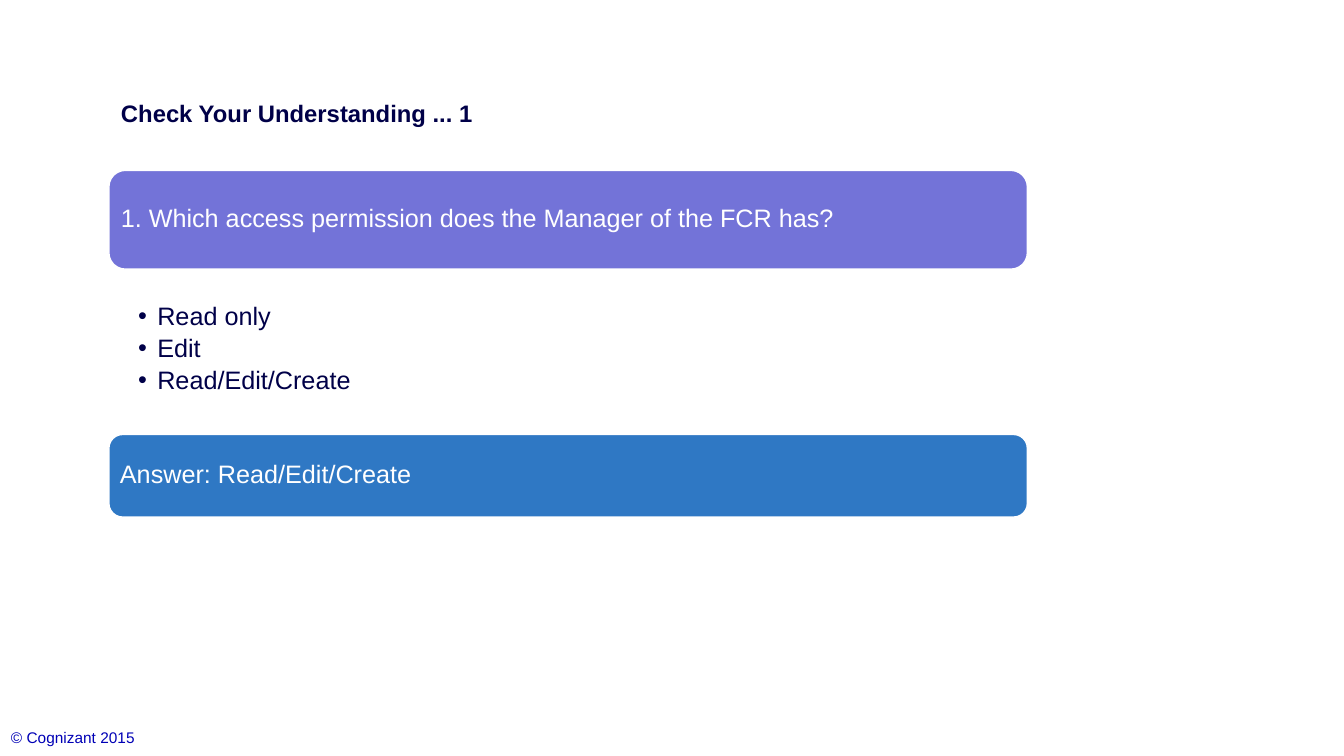
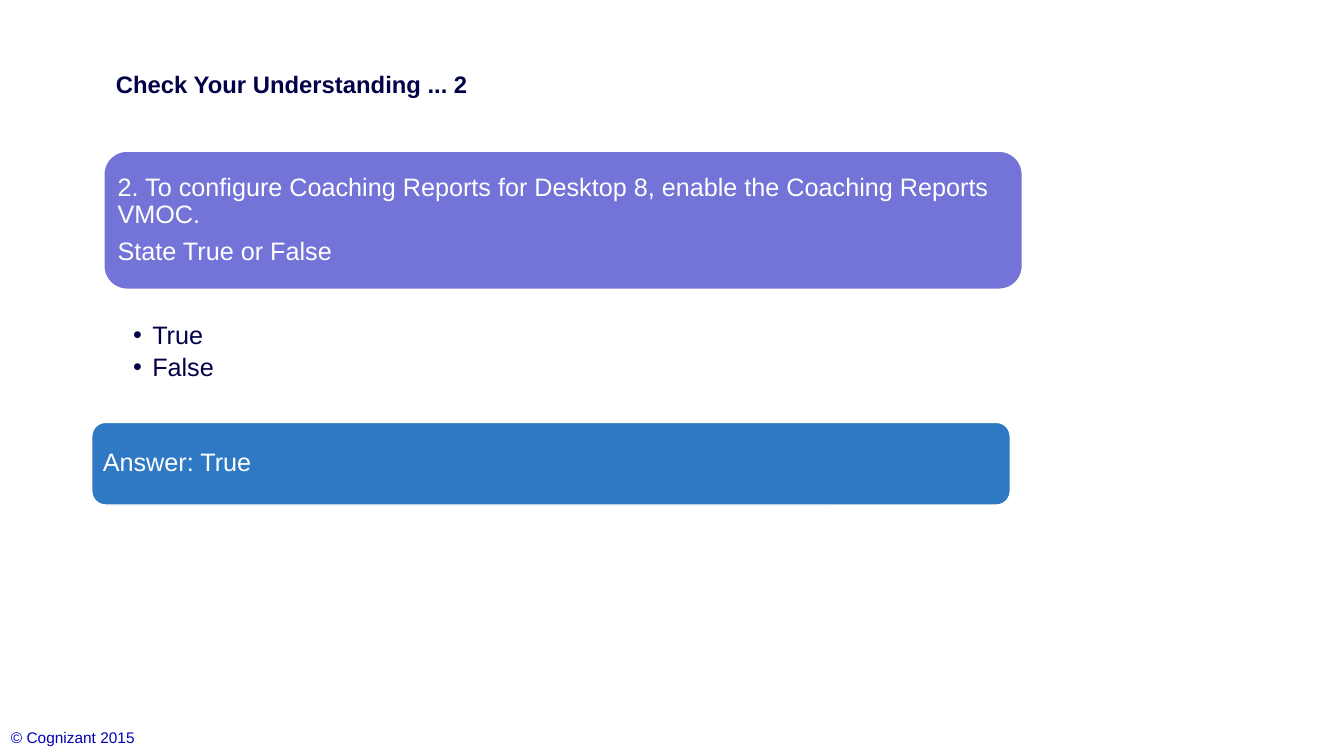
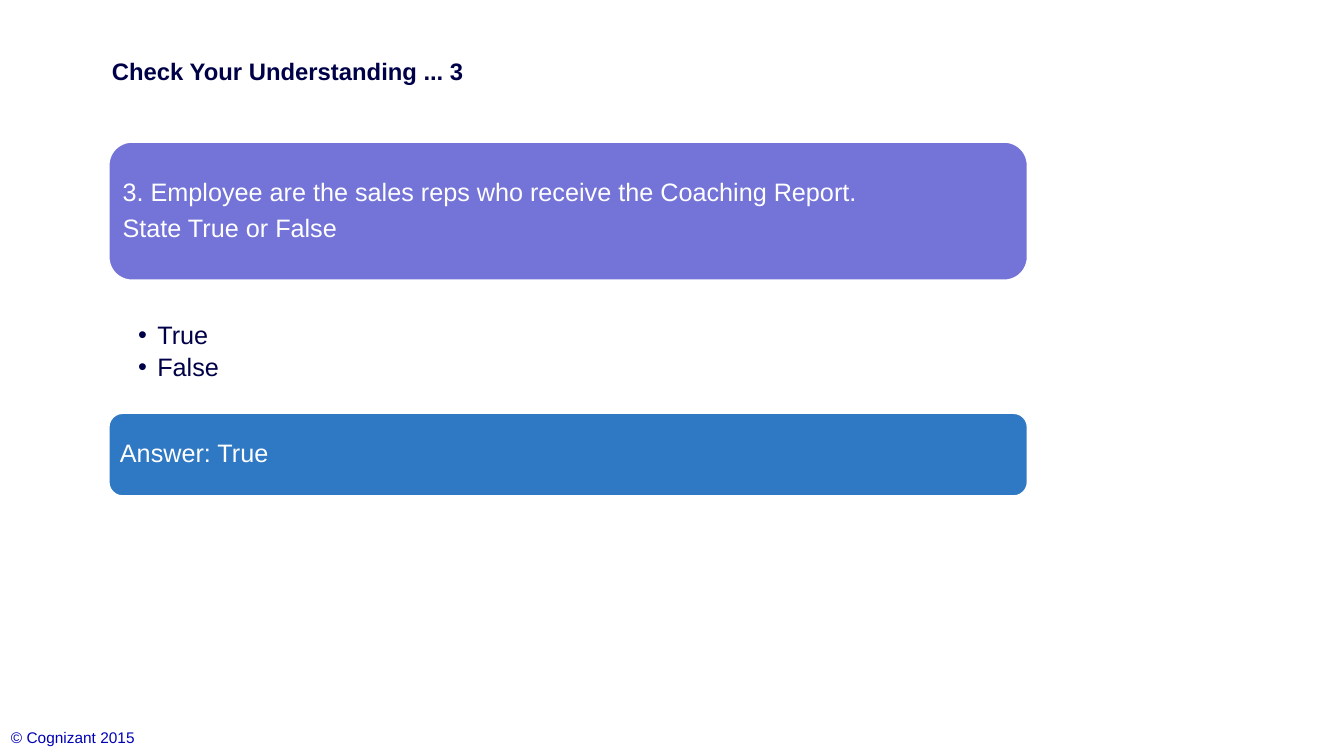
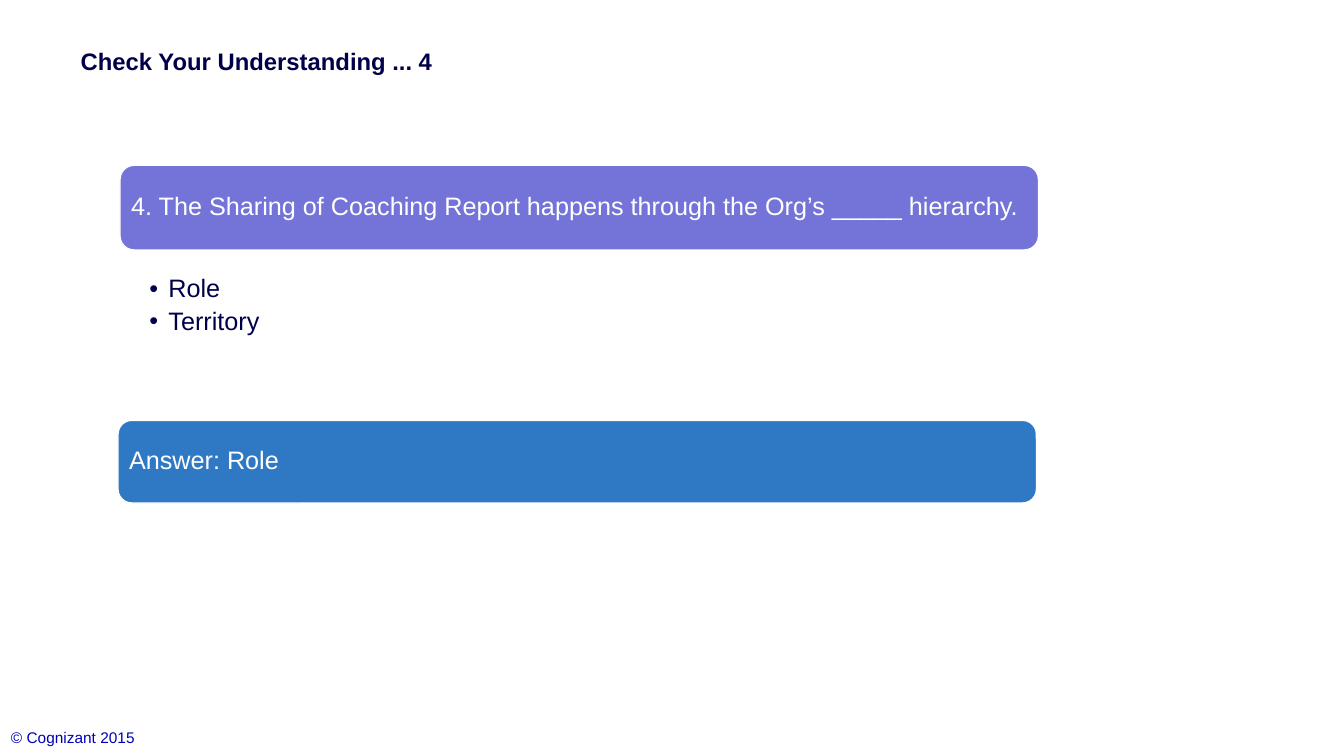
from dataclasses import dataclass

from lxml import etree
from pptx import Presentation
from pptx.dml.color import RGBColor
from pptx.enum.shapes import MSO_SHAPE
from pptx.enum.text import MSO_ANCHOR, PP_ALIGN
from pptx.oxml.ns import qn
from pptx.util import Inches, Pt

ROUNDED = MSO_SHAPE.ROUNDED_RECTANGLE
TOP, MIDDLE = MSO_ANCHOR.TOP, MSO_ANCHOR.MIDDLE
LEFT = PP_ALIGN.LEFT
TITLE_ONLY = 5


@dataclass(frozen=True)
class Theme:
    font: str = "Arial"
    ink: str = "000048"
    footer: str = "0000B6"
    question: str = "7373D8"
    answer: str = "2F78C4"
    white: str = "FFFFFF"
    title_size: int = 17
    body_size: int = 18
    footer_size: int = 11


THEME = Theme()
SLIDE_SIZE = (13.33, 7.5)
TITLE_SIZE = (7.58, 0.73)
BAND_WIDTH = 9.11
CHOICES_HEIGHT = 1.18
ANSWER_HEIGHT = 0.82
BAND_INSETS = (0.07,) * 4
CHOICE_INSETS = (0.29, 0.03, 0.14, 0.03)
BULLET_INDENT = 0.19
FOOTER_BOX = (0.01, 7.17, 2, 0.25)
FOOTER = "© Cognizant 2015"

# Positions are (left, top); the choices start at the left edge of the question.
QUIZ = [
    dict(question=["1. Which access permission does the Manager of the FCR has?"],
         choices=["Read only", "Edit", "Read/Edit/Create"], answer="Read/Edit/Create",
         title_at=(1.1, 0.76), question_at=(1.08, 1.69), question_height=0.98,
         choices_top=2.98, answer_at=(1.08, 4.31)),
    dict(question=["2. To configure Coaching Reports for Desktop 8, enable the Coaching Reports VMOC.",
                   "State True or False"],
         choices=["True", "False"], answer="True",
         title_at=(1.05, 0.47), question_at=(1.03, 1.5), question_height=1.37,
         choices_top=3.17, answer_at=(0.91, 4.19)),
    dict(question=["3. Employee are the sales reps who receive the Coaching Report.",
                   "State True or False"],
         choices=["True", "False"], answer="True",
         title_at=(1.01, 0.34), question_at=(1.08, 1.41), question_height=1.37,
         choices_top=3.17, answer_at=(1.08, 4.1)),
    dict(question=["4. The Sharing of Coaching Report happens through the Org’s _____ hierarchy."],
         choices=["Role", "Territory"], answer="Role",
         title_at=(0.7, 0.24), question_at=(1.19, 1.64), question_height=0.84,
         choices_top=2.71, answer_at=(1.17, 4.17)),
]


def inches(values):
    return [Inches(value) for value in values]


def add_bullet(paragraph):
    paragraph.level = 1
    properties = paragraph._p.get_or_add_pPr()
    properties.set("marL", str(Inches(BULLET_INDENT)))
    properties.set("indent", str(-Inches(BULLET_INDENT)))
    etree.SubElement(properties, qn("a:buFont")).set("typeface", THEME.font)
    etree.SubElement(properties, qn("a:buChar")).set("char", "•")


def write(shape, lines, size=THEME.body_size, color=THEME.ink, bold=False, anchor=TOP,
          insets=(0.1, 0.05, 0.1, 0.05), line_spacing=None, gap=None, bullets=False):
    """Fill a shape with one paragraph per line; gap is a share of the type size."""
    frame = shape.text_frame
    frame.word_wrap = True
    frame.vertical_anchor = anchor
    (frame.margin_left, frame.margin_top,
     frame.margin_right, frame.margin_bottom) = inches(insets)
    for index, line in enumerate(lines):
        paragraph = frame.add_paragraph() if index else frame.paragraphs[0]
        paragraph.text = line
        if bullets:
            add_bullet(paragraph)
        paragraph.alignment = LEFT
        if line_spacing:
            paragraph.line_spacing = line_spacing
        if gap:
            paragraph.space_after = Pt(round(size * gap, 1))
        font = paragraph.font
        font.name, font.size, font.bold = THEME.font, Pt(size), bold
        font.color.rgb = RGBColor.from_string(color)


def add_band(slide, lines, position, height, fill):
    band = slide.shapes.add_shape(ROUNDED, *inches((*position, BAND_WIDTH, height)))
    band.shadow.inherit = False
    band.fill.solid()
    band.fill.fore_color.rgb = RGBColor.from_string(fill)
    band.line.color.rgb = RGBColor.from_string(THEME.white)
    band.line.width = Pt(1)
    write(band, lines, color=THEME.white, anchor=MIDDLE, insets=BAND_INSETS,
          line_spacing=0.9, gap=0.35)


def add_quiz_slide(presentation, number, item):
    slide = presentation.slides.add_slide(presentation.slide_layouts[TITLE_ONLY])
    title = slide.shapes.title
    title.left, title.top, title.width, title.height = inches((*item["title_at"], *TITLE_SIZE))
    write(title, [f"Check Your Understanding ... {number}"], size=THEME.title_size,
          bold=True, anchor=MIDDLE)

    add_band(slide, item["question"], item["question_at"], item["question_height"],
             THEME.question)
    choices = slide.shapes.add_textbox(*inches(
        (item["question_at"][0], item["choices_top"], BAND_WIDTH, CHOICES_HEIGHT)))
    write(choices, item["choices"], insets=CHOICE_INSETS, line_spacing=0.9, gap=0.2,
          bullets=True)
    add_band(slide, [f"Answer: {item['answer']}"], item["answer_at"], ANSWER_HEIGHT,
             THEME.answer)

    footer = slide.shapes.add_textbox(*inches(FOOTER_BOX))
    write(footer, [FOOTER], size=THEME.footer_size, color=THEME.footer)


def main():
    presentation = Presentation()
    presentation.slide_width, presentation.slide_height = inches(SLIDE_SIZE)
    for number, item in enumerate(QUIZ, start=1):
        add_quiz_slide(presentation, number, item)
    presentation.save("out.pptx")


if __name__ == "__main__":
    main()
